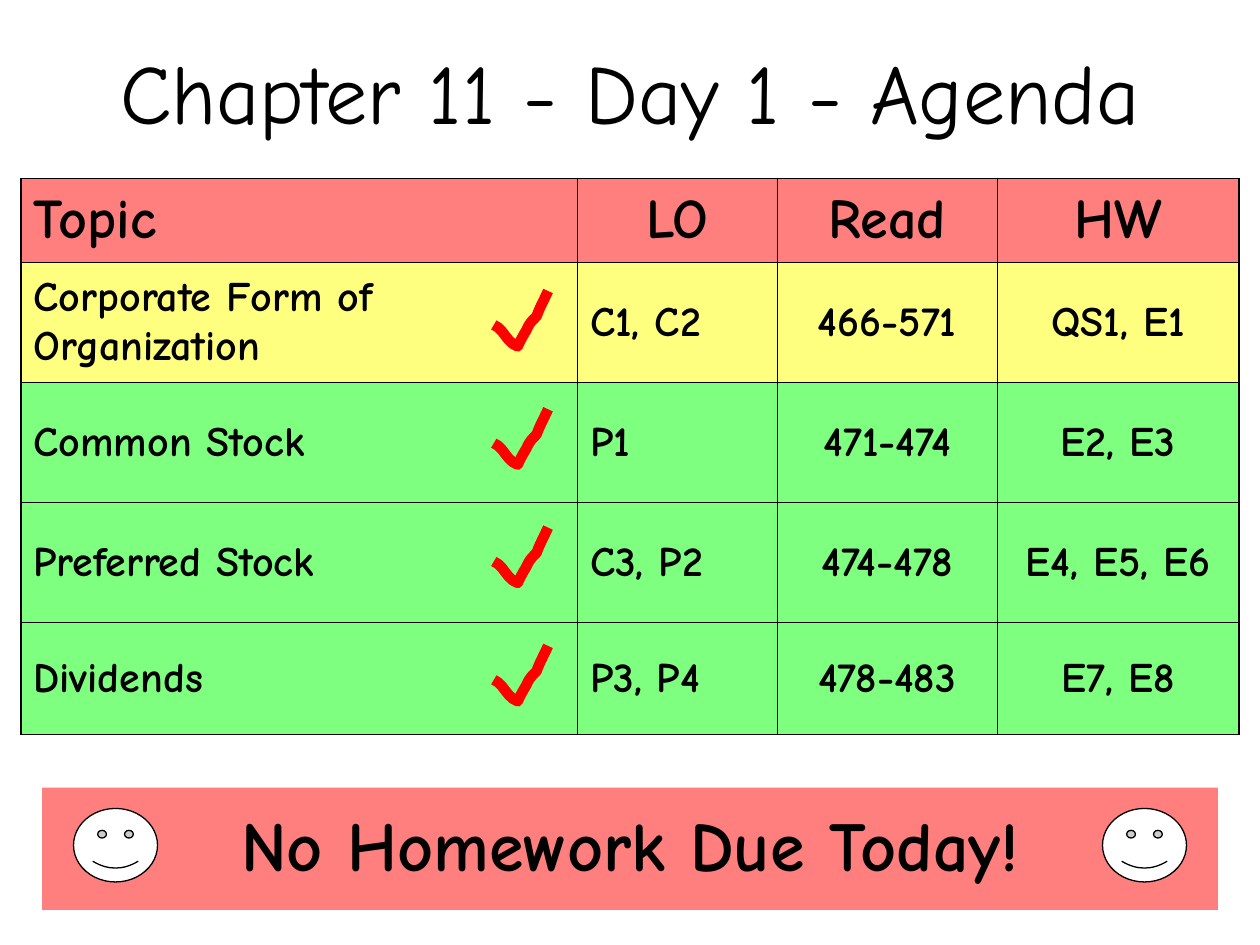
from lxml import etree
from pptx import Presentation
from pptx.dml.color import RGBColor
from pptx.enum import shapes, text
from pptx.oxml import ns
from pptx.util import Pt

FONT = "Comic Neue"
BLACK = RGBColor(0, 0, 0)
WHITE = RGBColor(255, 255, 255)
RED = RGBColor(255, 0, 0)
YELLOW = RGBColor(255, 255, 0)
GREEN = RGBColor(0, 255, 0)

LEFT, CENTER = text.PP_ALIGN.LEFT, text.PP_ALIGN.CENTER
THIN, THICK = 0.45, 1.08

COLUMNS = [318, 114, 126, 138]
ROWS = [48, 68.6, 68.6, 68.6, 64]
ROW_COLORS = [RED, YELLOW, GREEN, GREEN, GREEN]
AGENDA = [
    ["Topic", "LO", "Read", "HW"],
    ["Corporate Form of Organization", "C1, C2", "466-571", "QS1, E1"],
    ["Common Stock", "P1", "471-474", "E2, E3"],
    ["Preferred Stock", "C3, P2", "474-478", "E4, E5, E6"],
    ["Dividends", "P3, P4", "478-483", "E7, E8"],
]

# Check mark: a start point, then three Bezier points per curve
CHECK_START = (0, 19.4)
CHECK_CURVES = [
    [(5.8, 21.6), (7.2, 29.5), (13.7, 31.7)],
    [(15.1, 28.1), (18.7, 22.3), (18.7, 22.3)],
    [(20.2, 18.7), (21.6, 17.3), (24.5, 14.4)],
    [(25.9, 10.1), (28.8, 5), (31, 0)],
]
CURVE_STEPS = 6


def write(tf, words, size, align, bold=False):
    p = tf.paragraphs[0]
    p.alignment = align
    p.space_before = Pt(0)
    r = p.add_run()
    r.text = words
    r.font.name = FONT
    r.font.size = Pt(size)
    r.font.bold = bold
    r.font.color.rgb = BLACK


def add_title(s, words):
    sp = s.shapes.title
    sp.left, sp.top, sp.width, sp.height = Pt(0), Pt(19.5), Pt(720), Pt(65)
    tf = sp.text_frame
    tf.word_wrap = True
    tf.auto_size = text.MSO_AUTO_SIZE.NONE
    tf.vertical_anchor = text.MSO_ANCHOR.TOP
    write(tf, words, 48, CENTER)


def set_borders(cell, widths):
    """Widths run left, right, top, bottom; 0 means no border."""
    tcPr = cell._tc.get_or_add_tcPr()
    for side, width in zip("LRTB", widths):
        ln = etree.SubElement(tcPr, ns.qn(f"a:ln{side}"), w=str(Pt(width)))
        if width:
            fill = etree.SubElement(ln, ns.qn("a:solidFill"))
            etree.SubElement(fill, ns.qn("a:srgbClr"), val=str(BLACK))
        else:
            etree.SubElement(ln, ns.qn("a:noFill"))


def fill_half(cell, color):
    """Fill a cell with a half-transparent colour."""
    cell.fill.solid()
    cell.fill.fore_color.rgb = color
    clr = cell._tc.tcPr.find(ns.qn("a:solidFill")).find(ns.qn("a:srgbClr"))
    etree.SubElement(clr, ns.qn("a:alpha"), val="50000")


def add_table(s, left, top, columns, rows):
    frame = s.shapes.add_table(len(rows), len(columns), Pt(left), Pt(top),
                               Pt(sum(columns)), Pt(sum(rows)))
    table = frame.table
    table.first_row = table.horz_banding = False
    for column, width in zip(table.columns, columns):
        column.width = Pt(width)
    for row, height in zip(table.rows, rows):
        row.height = Pt(height)
    return table


def fill_cell(cell, words, size, align, color, widths):
    set_borders(cell, widths)
    fill_half(cell, color)
    cell.vertical_anchor = text.MSO_ANCHOR.MIDDLE
    write(cell.text_frame, words, size, align, bold=True)


def add_agenda(s):
    table = add_table(s, 12, 102, COLUMNS, ROWS)
    last_row, last_col = len(ROWS) - 1, len(COLUMNS) - 1
    for i, row in enumerate(AGENDA):
        for j, words in enumerate(row):
            outer = (j == 0, j == last_col, i == 0, i == last_row)
            widths = [THICK if edge else THIN for edge in outer]
            centered = j > 1 or (i == 0 and j == 1)
            fill_cell(table.cell(i, j), words, 24 if i else 32,
                      CENTER if centered else LEFT, ROW_COLORS[i], widths)


def add_banner(s, words):
    """Centre the words so that they stay clear of the faces."""
    table = add_table(s, 24, 450, [672], [70])
    fill_cell(table.cell(0, 0), words, 40, CENTER, RED, [0] * 4)


def add_smiley(s, left):
    sp = s.shapes.add_shape(shapes.MSO_SHAPE.SMILEY_FACE,
                            Pt(left), Pt(462), Pt(48), Pt(42))
    sp.shadow.inherit = False
    sp.fill.solid()
    sp.fill.fore_color.rgb = WHITE
    sp.line.color.rgb = BLACK
    sp.line.width = Pt(0.75)


def curve_points(p0, p1, p2, p3):
    for k in range(1, CURVE_STEPS + 1):
        t = k / CURVE_STEPS
        yield tuple((1 - t) ** 3 * a + 3 * (1 - t) ** 2 * t * b
                    + 3 * (1 - t) * t ** 2 * c + t ** 3 * d
                    for a, b, c, d in zip(p0, p1, p2, p3))


def add_check(s, left, top):
    points = [CHECK_START]
    for curve in CHECK_CURVES:
        points.extend(curve_points(points[-1], *curve))
    start, *rest = [(Pt(left + x), Pt(top + y)) for x, y in points]
    builder = s.shapes.build_freeform(*start)
    builder.add_line_segments(rest, close=False)
    sp = builder.convert_to_shape()
    sp.shadow.inherit = False
    sp.fill.background()
    sp.line.color.rgb = RED
    sp.line.width = Pt(6)


def main():
    prs = Presentation()
    prs.slide_width, prs.slide_height = Pt(720), Pt(540)
    s = prs.slides.add_slide(prs.slide_layouts[5])

    # Heading and agenda
    add_title(s, "Chapter 11 - Day 1 - Agenda")
    add_agenda(s)

    # Homework banner with a face at each end
    add_banner(s, "No Homework Due Today!")
    for left in (42, 630):
        add_smiley(s, left)

    # One check mark per topic
    for i in range(len(AGENDA) - 1):
        add_check(s, 282.2, 166.3 + 67.6 * i)

    prs.save("out.pptx")


if __name__ == "__main__":
    main()
